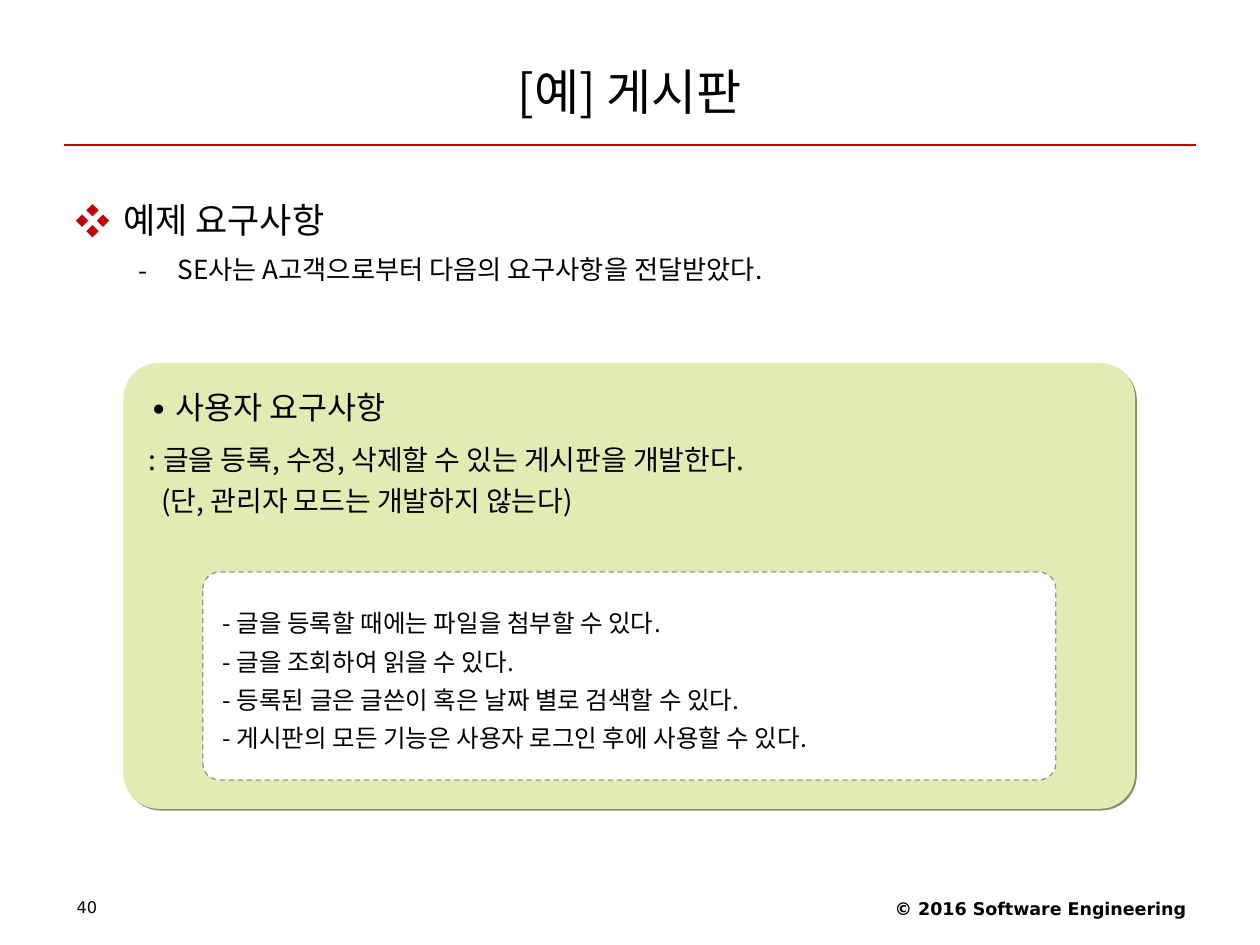
from lxml.etree import SubElement
from pptx import Presentation
from pptx.dml.color import RGBColor
from pptx.enum.dml import MSO_LINE_DASH_STYLE as Dash
from pptx.enum.shapes import MSO_CONNECTOR as Connector, MSO_SHAPE as Shape
from pptx.enum.text import MSO_ANCHOR as Anchor, PP_ALIGN as Align
from pptx.oxml.ns import qn
from pptx.util import Inches, Pt

KOREAN = "Noto Sans CJK KR"
LATIN = "DejaVu Sans"
BLACK, RED, GREEN, WHITE = "000000", "C40000", "E0ECB2", "FFFFFF"
SHADE, GRAY = "868E6B", "969696"


def color(value):
    return RGBColor.from_string(value)


def add_element(parent, tag, **attributes):
    return SubElement(parent, qn(tag), {name: str(value) for name, value in attributes.items()})


class SlideBuilder:
    def __init__(self, slide, font):
        self.slide = slide
        self.font = font

    def bullet(self, paragraph, mark, mark_color):
        properties = paragraph._p.get_or_add_pPr()
        add_element(add_element(properties, "a:buClr"), "a:srgbClr", val=mark_color)
        add_element(properties, "a:buFont", typeface=self.font)
        add_element(properties, "a:buChar", char=mark)

    def fill_text(self, shape, lines, anchor=Anchor.TOP, insets=(0.1, 0.05), font=None):
        frame = shape.text_frame
        horizontal, vertical = (Inches(inset) for inset in insets)
        frame_format = {
            "word_wrap": True, "vertical_anchor": anchor,
            "margin_left": horizontal, "margin_right": horizontal,
            "margin_top": vertical, "margin_bottom": vertical,
        }
        for name, value in frame_format.items():
            setattr(frame, name, value)
        for index, (text, size, style) in enumerate(lines):
            paragraph = frame.add_paragraph() if index else frame.paragraphs[0]
            if "bullet" in style:
                self.bullet(paragraph, *style["bullet"])
            if "indent" in style:
                left, first = style["indent"]
                properties = paragraph._p.get_or_add_pPr()
                properties.set("marL", str(Inches(left)))
                properties.set("indent", str(Inches(first)))
            paragraph_format = {
                "alignment": style.get("align", Align.LEFT),
                "line_spacing": style.get("spacing", 1.0),
                "space_before": Pt(style.get("before", 0)),
            }
            for name, value in paragraph_format.items():
                setattr(paragraph, name, value)
            run = paragraph.add_run()
            run.text = text
            run.font.color.rgb = color(BLACK)
            run_format = {
                "size": Pt(size), "name": font or self.font, "bold": style.get("bold", False),
            }
            for name, value in run_format.items():
                setattr(run.font, name, value)
            add_element(run._r.get_or_add_rPr(), "a:ea", typeface=font or self.font)

    def text(self, box, lines, **options):
        shape = self.slide.shapes.add_textbox(*map(Inches, box))
        self.fill_text(shape, lines, **options)

    def panel(self, box, fill, lines, border=None, shade=None, **options):
        shape = self.slide.shapes.add_shape(Shape.ROUNDED_RECTANGLE, *map(Inches, box))
        shape.adjustments[0] = 0.08
        shape.fill.solid()
        shape.fill.fore_color.rgb = color(fill)
        if border:
            shape.line.color.rgb = color(border)
            shape.line.width = Pt(0.75)
            shape.line.dash_style = Dash.DASH
        else:
            shape.line.fill.background()
        shape.shadow.inherit = False
        if shade:
            effects = shape._element.spPr.find(qn("a:effectLst"))
            shadow = add_element(effects, "a:outerShdw", blurRad=0, dist=Pt(1.4),
                                 dir=45 * 60000, algn="tl", rotWithShape=0)
            add_element(shadow, "a:srgbClr", val=shade)
        self.fill_text(shape, lines, insets=(0.12, 0.06), **options)

    def rule(self, left, right, top, line_color):
        ends = map(Inches, (left, top, right, top))
        connector = self.slide.shapes.add_connector(Connector.STRAIGHT, *ends)
        connector.line.color.rgb = color(line_color)
        connector.line.width = Pt(0.75)
        add_element(connector._element.spPr, "a:effectLst")


def main():
    presentation = Presentation()
    presentation.slide_width, presentation.slide_height = Inches(10), Inches(7.5)
    slide = presentation.slides.add_slide(presentation.slide_layouts[6])
    builder = SlideBuilder(slide, KOREAN)

    builder.rule(0.51, 9.49, 1.15, RED)
    builder.text((6.34, 7.08, 3.17, 0.29), [
        ("© 2016 Software Engineering", 10, {"align": Align.RIGHT, "bold": True}),
    ], font=LATIN)
    builder.text((0.51, 7.09, 2.33, 0.28), [("40", 9.2, {"spacing": 0.9})], font=LATIN)
    builder.text((0.5, 0.3, 9, 0.85), [
        ("[예] 게시판", 28, {"align": Align.CENTER}),
    ], anchor=Anchor.MIDDLE)
    builder.text((0.5, 1.39, 9, 5.51), [
        ("예제 요구사항", 20,
         {"bullet": ("❖", RED), "indent": (0.38, -0.38), "spacing": 1.4}),
        ("SE사는 A고객으로부터 다음의 요구사항을 전달받았다.", 15,
         {"bullet": ("-", BLACK), "indent": (0.81, -0.31), "spacing": 1.2, "before": 3.7}),
    ])
    builder.panel((0.98, 2.88, 8.03, 3.54), GREEN, [
        ("∙ 사용자 요구사항", 18, {"spacing": 1.2}),
        (": 글을 등록, 수정, 삭제할 수 있는 게시판을 개발한다.", 16, {"spacing": 1.5}),
        ("(단, 관리자 모드는 개발하지 않는다)", 16, {"spacing": 1.2, "indent": (0.1, 0)}),
    ], shade=SHADE)
    details = [
        "- 글을 등록할 때에는 파일을 첨부할 수 있다.",
        "- 글을 조회하여 읽을 수 있다.",
        "- 등록된 글은 글쓴이 혹은 날짜 별로 검색할 수 있다.",
        "- 게시판의 모든 기능은 사용자 로그인 후에 사용할 수 있다.",
    ]
    builder.panel((1.61, 4.54, 6.77, 1.65), WHITE,
                  [(detail, 14, {"spacing": 1.3}) for detail in details],
                  border=GRAY, anchor=Anchor.MIDDLE)
    presentation.save("out.pptx")


if __name__ == "__main__":
    main()
